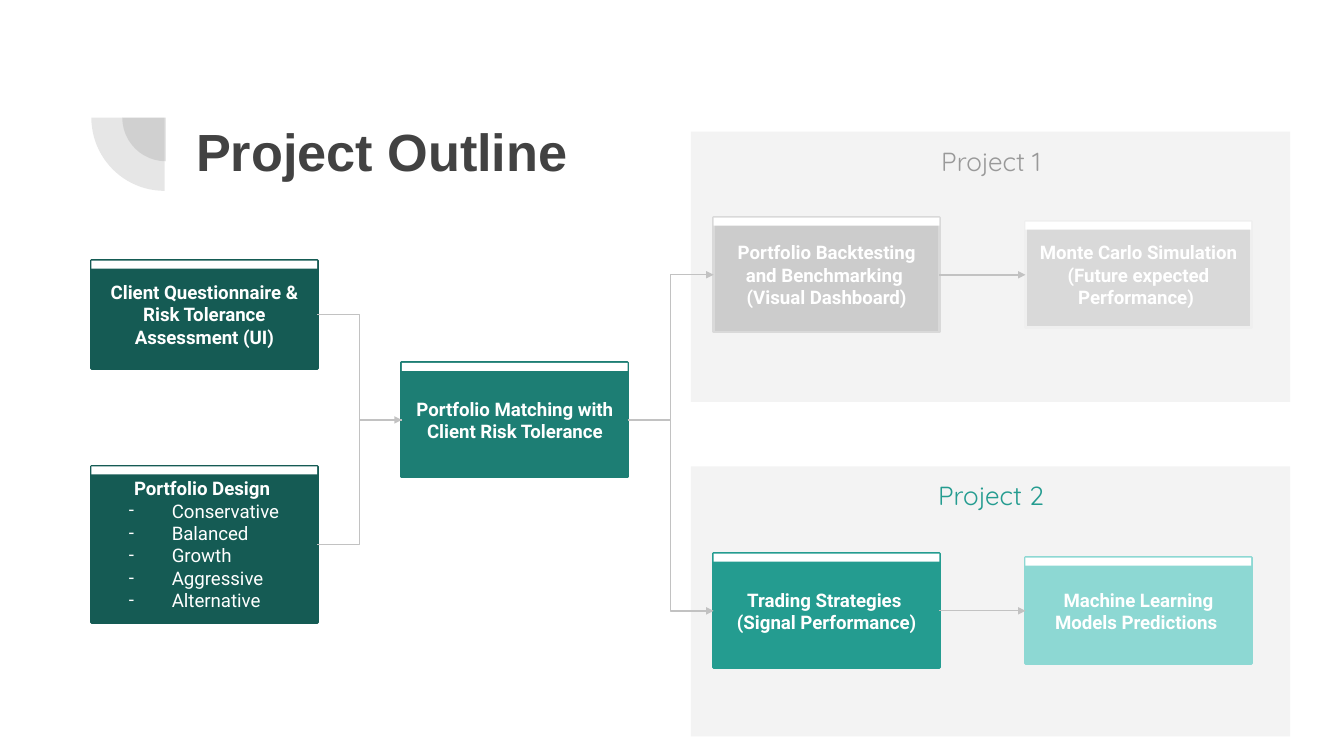
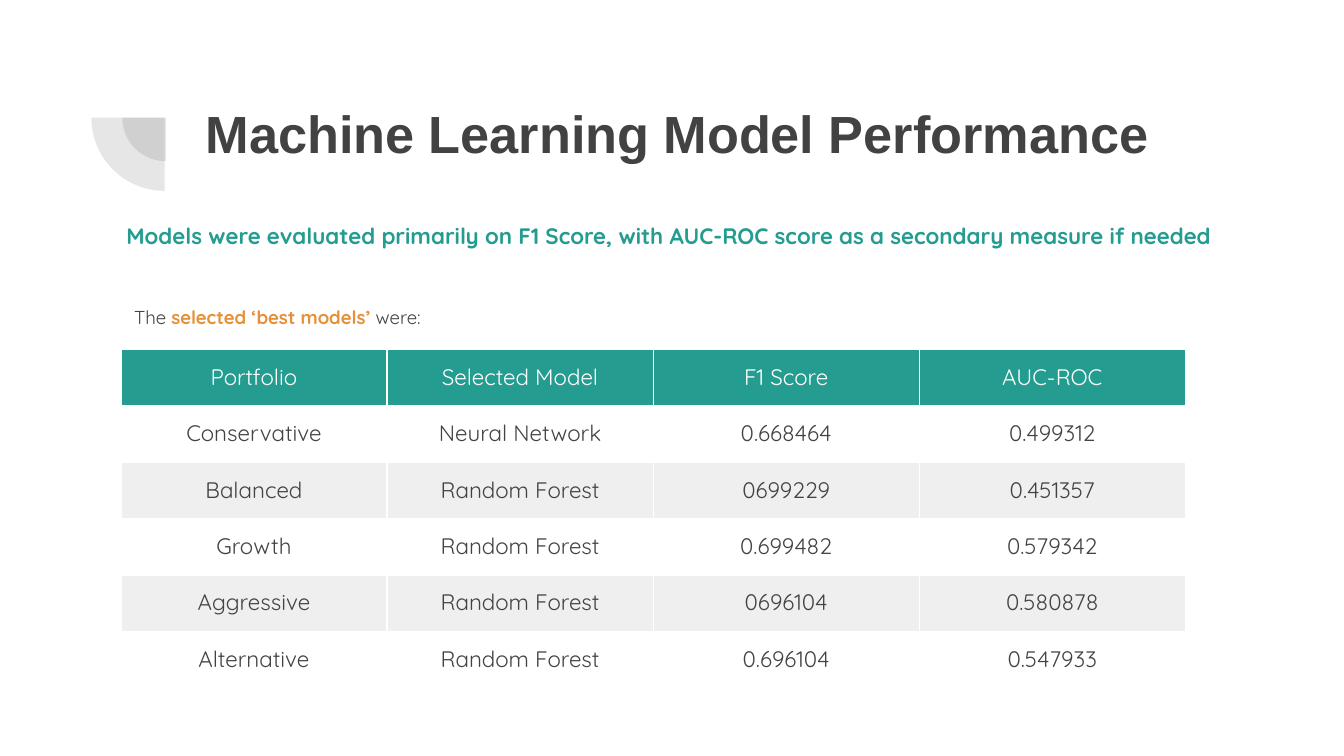
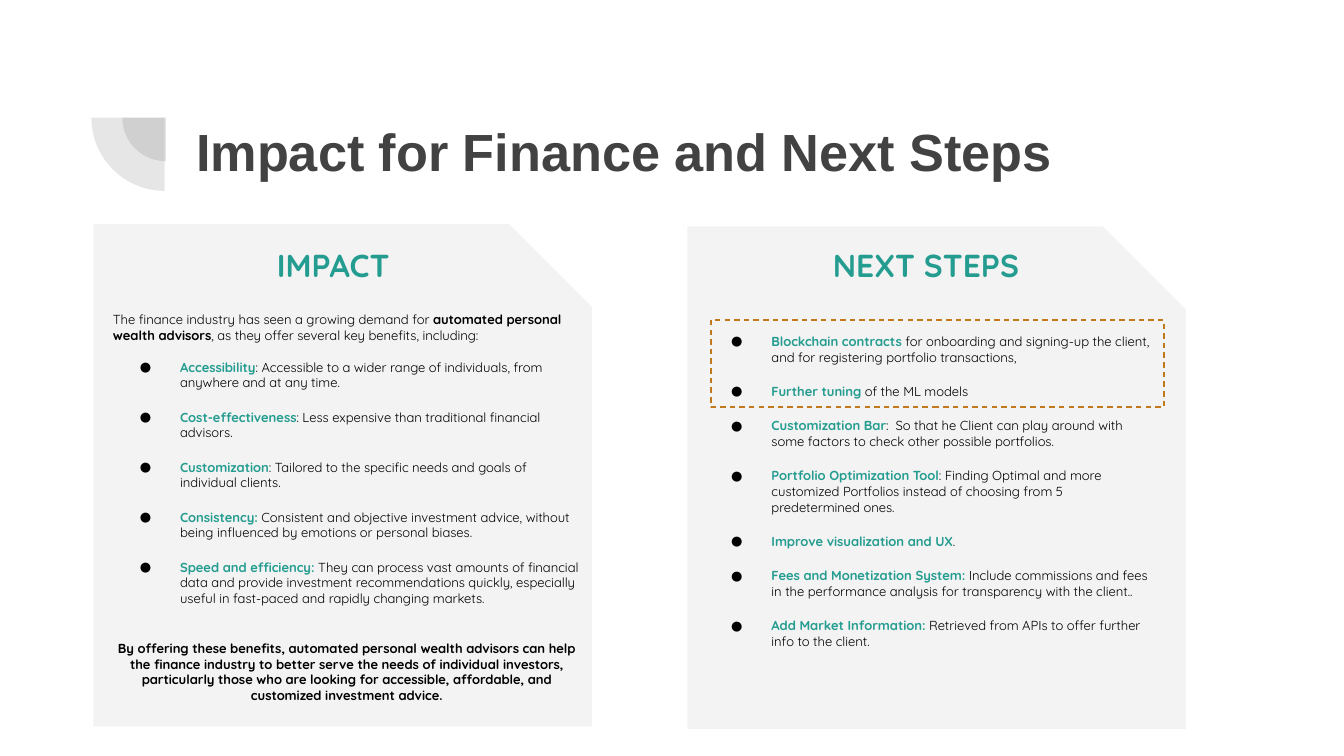
"""Build three slides on a portfolio project: outline, model performance and impact."""
import lxml.etree
import pptx
import pptx.dml.color
import pptx.enum.dml
import pptx.enum.shapes
import pptx.enum.text
import pptx.oxml.ns
import pptx.util

Inches = pptx.util.Inches
Pt = pptx.util.Pt
qn = pptx.oxml.ns.qn
colour = pptx.dml.color.RGBColor.from_string
SHAPE = pptx.enum.shapes.MSO_SHAPE
ALIGN = pptx.enum.text.PP_ALIGN
ANCHOR = pptx.enum.text.MSO_ANCHOR

TEAL, DARK_TEAL, MID_TEAL, PALE_TEAL = "249C90", "155B54", "1D7E74", "8DD8D3"
INK, BLACK, WHITE, PANEL, ORANGE = "424242", "000000", "FFFFFF", "F3F3F3", "E69138"
BODY_FONT, BOX_FONT, TITLE_FONT = "Quicksand", "Roboto", "Arial"
HANGING = {"-": 0.32, "●": 0.3}


def add_shape(slide, kind, position, fill=None, line=None, width=0.75):
    """Add a preset shape without shadow; no fill or line unless given."""
    shape = slide.shapes.add_shape(kind, *map(Inches, position))
    shape.shadow.inherit = False
    if fill:
        shape.fill.solid()
        shape.fill.fore_color.rgb = colour(fill)
    else:
        shape.fill.background()
    if line:
        shape.line.color.rgb = colour(line)
        shape.line.width = Pt(width)
    else:
        shape.line.fill.background()
    return shape


def write(shape, paragraphs, font, size, anchor=ANCHOR.TOP):
    """Fill a shape or cell with (style, space before, [(text, colour, bold)]) paragraphs."""
    frame = shape.text_frame
    frame.word_wrap = True
    frame.auto_size = pptx.enum.text.MSO_AUTO_SIZE.NONE
    frame.vertical_anchor = anchor
    frame.margin_left = frame.margin_right = Inches(0.1)
    frame.margin_top = frame.margin_bottom = Inches(0.1)
    for index, (style, before, runs) in enumerate(paragraphs):
        paragraph = frame.add_paragraph() if index else frame.paragraphs[0]
        paragraph.alignment = ALIGN.CENTER if style == "center" else ALIGN.LEFT
        paragraph.space_before = Pt(before)
        properties = paragraph._p.get_or_add_pPr()
        if style in HANGING:
            properties.set("marL", str(Inches(0.5)))
            properties.set("indent", str(-Inches(HANGING[style])))
            bullet_colour = lxml.etree.SubElement(properties, qn("a:buClr"))
            lxml.etree.SubElement(bullet_colour, qn("a:srgbClr"), val=runs[-1][1])
            lxml.etree.SubElement(properties, qn("a:buFont"), typeface=font)
            lxml.etree.SubElement(properties, qn("a:buChar"), char=style)
        else:
            properties.set("marL", "0")
            properties.set("indent", "0")
            lxml.etree.SubElement(properties, qn("a:buNone"))
        for text, run_colour, bold in runs:
            run = paragraph.add_run()
            run.text = text
            run.font.name = font
            run.font.size = Pt(size)
            run.font.bold = bold
            run.font.color.rgb = colour(run_colour)


presentation = pptx.Presentation()
presentation.slide_width = Inches(10)
presentation.slide_height = presentation.slide_width * 9 // 16

slides = []
for title, layout, left, top, height in [
    ("Project Outline", 5, 1.36, 0.79, 0.71),
    ("Machine Learning Model Performance", 1, 1.43, 0.65, 1.09),
    ("Impact for Finance and Next Steps", 3, 1.36, 0.79, 0.71),
]:
    slide = presentation.slides.add_slide(presentation.slide_layouts[layout])
    heading = slide.shapes.title
    heading.left, heading.top = Inches(left), Inches(top)
    heading.width, heading.height = Inches(7.69), Inches(height)
    write(heading, [("left", 0, [(title, INK, True)])], TITLE_FONT, 28)
    slides.append(slide)
outline, performance, impact = slides

for left, top, size in [(0.91, 0.55, 0.65), (0.68, 0.33, 1.09)]:
    quarter = add_shape(outline, SHAPE.PIE, (left, top, size, size), INK)
    quarter.adjustments[0], quarter.adjustments[1] = 108, 162
    quarter.rotation = 270
    fill_colour = quarter.fill._xPr.find(".//" + qn("a:srgbClr"))
    lxml.etree.SubElement(fill_colour, qn("a:alpha"), val="13000")
    presentation.slide_master.shapes.element.append(quarter.element)

for name, top, label_colour in [("Project 1", 0.98, "999999"), ("Project 2", 3.47, TEAL)]:
    add_shape(outline, SHAPE.RECTANGLE, (5.14, top, 4.46, 2.01), PANEL)
    label = outline.shapes.add_textbox(Inches(6.86), Inches(top), Inches(1.03), Inches(0.44))
    write(label, [("center", 0, [(name, label_colour, False)])], BODY_FONT, 14)

portfolios = ["Conservative", "Balanced", "Growth", "Aggressive", "Alternative"]
boxes = {}
for key, left, top, height, fill, line, lines in [
    ("questionnaire", 0.68, 1.94, 0.8, DARK_TEAL, DARK_TEAL,
     ["Client Questionnaire & Risk Tolerance Assessment (UI)"]),
    ("design", 0.68, 3.47, 1.16, DARK_TEAL, DARK_TEAL, ["Portfolio Design "]),
    ("matching", 2.99, 2.7, 0.85, MID_TEAL, MID_TEAL,
     ["Portfolio Matching with Client Risk Tolerance"]),
    ("backtesting", 5.31, 1.62, 0.85, "CCCCCC", "D9D9D9",
     ["Portfolio Backtesting and Benchmarking ", "(Visual Dashboard)"]),
    ("simulation", 7.63, 1.65, 0.79, "D9D9D9", "EFEFEF",
     ["Monte Carlo Simulation (Future expected Performance) "]),
    ("strategies", 5.31, 4.12, 0.85, TEAL, TEAL,
     ["Trading Strategies ", "(Signal Performance)"]),
    ("predictions", 7.63, 4.15, 0.79, PALE_TEAL, PALE_TEAL,
     ["Machine Learning Models Predictions "]),
]:
    box = add_shape(outline, SHAPE.RECTANGLE, (left, top, 1.68, height), fill, line, 1.5)
    paragraphs = [("center", 0, [(text, WHITE, True)]) for text in lines]
    if key == "design":
        paragraphs += [("-", 0, [(name, WHITE, False)]) for name in portfolios]
    write(box, paragraphs, BOX_FONT, 10, ANCHOR.MIDDLE)
    add_shape(outline, SHAPE.RECTANGLE, (left, top, 1.68, 0.06), WHITE)
    boxes[key] = box

for source, target, arrow in [
    ("questionnaire", "matching", False),
    ("design", "matching", True),
    ("matching", "backtesting", True),
    ("matching", "strategies", True),
    ("backtesting", "simulation", True),
    ("strategies", "predictions", True),
]:
    connector = outline.shapes.add_connector(pptx.enum.shapes.MSO_CONNECTOR.ELBOW, 0, 0, 0, 0)
    connector.begin_connect(boxes[source], 3)
    connector.end_connect(boxes[target], 1)
    connector.line.color.rgb = colour("C2C2C2")
    connector.line.width = Pt(0.75)
    if arrow:
        lxml.etree.SubElement(connector.line._get_or_add_ln(), qn("a:tailEnd"),
                              type="triangle", w="sm", len="sm")
    lxml.etree.SubElement(connector.element.spPr, qn("a:effectLst"))

summary = performance.placeholders[1]
summary.left, summary.top = Inches(0.84), Inches(1.55)
summary.width, summary.height = Inches(8.33), Inches(0.53)
write(summary, [("left", 10, [(
    "Models were evaluated primarily on F1 Score, with AUC-ROC score as a secondary measure "
    "if needed", TEAL, True)])], BODY_FONT, 12)

intro = performance.shapes.add_textbox(Inches(0.9), Inches(2.15), Inches(3.28), Inches(0.37))
write(intro, [("left", 0, [("The ", INK, False), ("selected ‘best models’", ORANGE, True),
                           (" were:", INK, False)])], BODY_FONT, 10)
intro.text_frame.paragraphs[0].line_spacing = 1.15

models = ["Neural Network"] + ["Random Forest"] * 4
f1_scores = ["0.668464", "0699229", "0.699482", "0696104", "0.696104"]
auc_scores = ["0.499312", "0.451357", "0.579342", "0.580878", "0.547933"]
rows = [("Portfolio", "Selected Model", "F1 Score", "AUC-ROC")]
rows += zip(portfolios, models, f1_scores, auc_scores)
table = performance.shapes.add_table(
    len(rows), 4, Inches(0.9), Inches(2.6), Inches(7.92), Inches(2.52)).table
for column in table.columns:
    column.width = Inches(1.98)
for row_index, row in enumerate(rows):
    table.rows[row_index].height = Inches(0.42)
    for column_index, text in enumerate(row):
        cell = table.cell(row_index, column_index)
        text_colour = "434343" if row_index else WHITE
        write(cell, [("center", 0, [(text, text_colour, False)])], BODY_FONT, 12)
        cell.margin_top = cell.margin_bottom = Inches(0.1)
        cell_properties = cell._tc.get_or_add_tcPr()
        for side in ("lnL", "lnR", "lnT", "lnB"):
            border = lxml.etree.SubElement(cell_properties, qn("a:" + side), w=str(Pt(0.75)))
            border_fill = lxml.etree.SubElement(border, qn("a:solidFill"))
            lxml.etree.SubElement(border_fill, qn("a:srgbClr"), val=WHITE)
        if row_index % 2:
            cell.fill.background()
        else:
            cell.fill.solid()
            cell.fill.fore_color.rgb = colour("EFEFEF" if row_index else TEAL)

benefits = [
    ("Accessibility",
     ": Accessible to a wider range of individuals, from anywhere and at any time."),
    ("Cost-effectiveness", ": Less expensive than traditional financial advisors."),
    ("Customization", ": Tailored to the specific needs and goals of individual clients."),
    ("Consistency:", " Consistent and objective investment advice, without being influenced by "
     "emotions or personal biases."),
    ("Speed and efficiency:", " They can process vast amounts of financial data and provide "
     "investment recommendations quickly, especially useful in fast-paced and rapidly changing "
     "markets."),
]
next_steps = [
    ("Blockchain contracts ", "for onboarding and signing-up the client, and for registering "
     "portfolio transactions,"),
    ("Further tuning", " of the ML models"),
    ("Customization Bar", ":  So that he Client can play around with some factors to check "
     "other possible portfolios."),
    ("Portfolio Optimization Tool", ": Finding Optimal and more customized Portfolios instead "
     "of choosing from 5 predetermined ones."),
    ("Improve visualization and UX", "."),
    ("Fees and Monetization System:", " Include commissions and fees in the performance "
     "analysis for transparency with the client.."),
    ("Add Market Information:", " Retrieved from APIs to offer further info to the client."),
]
opening = ("left", 0, [
    ("The finance industry has seen a growing demand for ", BLACK, False),
    ("automated personal wealth advisors", BLACK, True),
    (", as they offer several key benefits, including:", BLACK, False)])
closing = ("center", 18.5, [(
    "By offering these benefits, automated personal wealth advisors can help the finance "
    "industry to better serve the needs of individual investors, particularly those who are "
    "looking for accessible, affordable, and customized investment advice.", BLACK, True)])

for index, (name, panel_at, heading_left, list_at, items, first_gap, before, after) in enumerate([
    ("IMPACT", (0.69, 1.66), 1.51, (0.74, 2.22, 3.68, 3.14), benefits, 8.5, [opening], [closing]),
    ("NEXT STEPS", (5.11, 1.68), 5.92, (5.14, 2.26, 3.52, 2.69), next_steps, 0, [], []),
]):
    panel = add_shape(impact, SHAPE.SNIP_1_RECTANGLE, (*panel_at, 3.72, 3.75), PANEL, WHITE)
    panel.adjustments[0] = 0.167
    impact.shapes.element.insert(2, panel.element)
    heading = impact.shapes.add_textbox(
        Inches(heading_left), Inches(1.73), Inches(1.94), Inches(0.49))
    write(heading, [("center", 10, [(name, TEAL, True)])], BODY_FONT, 17)
    item_list = impact.placeholders[index + 1]
    item_list.left, item_list.top, item_list.width, item_list.height = map(Inches, list_at)
    bullets = [("●", 10 if number else first_gap, [(term, TEAL, True), (text, BLACK, False)])
               for number, (term, text) in enumerate(items)]
    write(item_list, before + bullets + after, BODY_FONT, 7)
    if not before:
        item_list.text_frame.margin_top = Inches(0.22)

highlight = add_shape(impact, SHAPE.RECTANGLE, (5.29, 2.38, 3.37, 0.65), line="C0791B")
highlight.line.dash_style = pptx.enum.dml.MSO_LINE.DASH

presentation.save("out.pptx")
